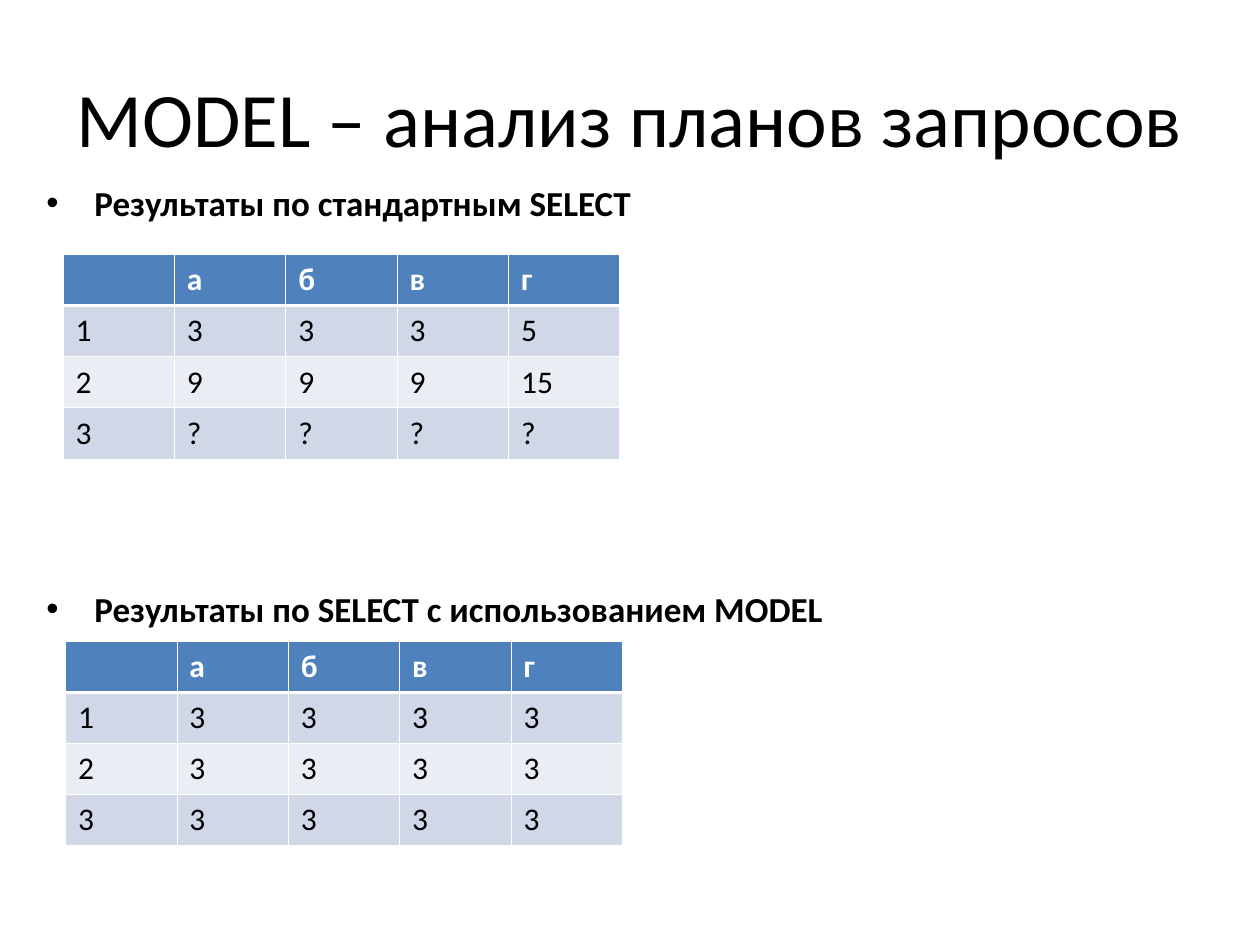
from lxml import etree
from pptx import Presentation
from pptx.dml.color import RGBColor
from pptx.enum import text
from pptx.oxml import ns
from pptx.util import Inches, Pt

COLORS = {
    "ink": "000000",
    "white": "FFFFFF",
    "header": "4F81BD",
    "band_dark": "D0D8E8",
    "band_light": "E9EDF4",
}
FONT = "Calibri"
THIN, THICK = Pt(0.45), Pt(1.47)


def write(paragraph, content, size=18, color="ink", bold=False, align=None, before=None):
    """Add formatted text to a paragraph."""
    run = paragraph.add_run()
    run.text = content
    run.font.name = FONT
    run.font.size = Pt(size)
    run.font.bold = bold
    run.font.color.rgb = RGBColor.from_string(COLORS[color])
    paragraph.alignment = align
    if before is not None:
        paragraph.space_before = Pt(before)


def add_bullet(paragraph, indent):
    properties = paragraph._p.get_or_add_pPr()
    properties.set("marL", str(indent))
    properties.set("indent", str(-indent))
    color = etree.SubElement(properties, ns.qn("a:buClr"))
    etree.SubElement(color, ns.qn("a:srgbClr"), val=COLORS["ink"])
    etree.SubElement(properties, ns.qn("a:buFont"), typeface="Arial")
    etree.SubElement(properties, ns.qn("a:buChar"), char="•")


def set_borders(cell, **widths):
    properties = cell._tc.get_or_add_tcPr()
    for side in "LRTB":
        line = etree.SubElement(properties, ns.qn(f"a:ln{side}"), w=str(widths.get(side, THIN)))
        fill = etree.SubElement(line, ns.qn("a:solidFill"))
        etree.SubElement(fill, ns.qn("a:srgbClr"), val=COLORS["white"])


def place_title(slide, box, content):
    title = slide.shapes.title
    title.left, title.top, title.width, title.height = box
    frame = title.text_frame
    frame.vertical_anchor = text.MSO_ANCHOR.MIDDLE
    write(frame.paragraphs[0], content, size=44, align=text.PP_ALIGN.CENTER)


def place_results(slide, box, rows):
    """Table with a header row and banded body rows."""
    table = slide.shapes.add_table(len(rows), len(rows[0]), *box).table
    for r, row in enumerate(rows):
        is_header = r == 0
        if is_header:
            fill, widths = "header", {"B": THICK}
        else:
            fill = "band_dark" if r % 2 else "band_light"
            widths = {"T": THICK} if r == 1 else {}
        for c, value in enumerate(row):
            cell = table.cell(r, c)
            set_borders(cell, **widths)
            cell.fill.solid()
            cell.fill.fore_color.rgb = RGBColor.from_string(COLORS[fill])
            if value:
                write(cell.text_frame.paragraphs[0], value,
                      color="white" if is_header else "ink", bold=is_header)


def place_headings(slide, box, headings):
    """Bulleted headings, each with its own space before."""
    frame = slide.shapes.add_textbox(*box).text_frame
    frame.word_wrap = True
    for i, (content, before) in enumerate(headings):
        paragraph = frame.add_paragraph() if i else frame.paragraphs[0]
        write(paragraph, content, size=20, bold=True, before=before)
        add_bullet(paragraph, Inches(0.38))


def main():
    presentation = Presentation()
    presentation.slide_width, presentation.slide_height = Inches(10), Inches(7.5)
    slide = presentation.slides.add_slide(presentation.slide_layouts[5])

    # Title
    place_title(slide, (Inches(0.5), Inches(0.3), Inches(9), Inches(1.25)),
                "MODEL – анализ планов запросов")

    # Result tables: MODEL below, standard SELECT above
    header = ["", "а", "б", "в", "г"]
    table_size = (Inches(4.42), Inches(1.62))
    place_results(slide, (Inches(0.52), Inches(5.09), *table_size),
                  [header] + [[number] + ["3"] * 4 for number in "123"])
    place_results(slide, (Inches(0.5), Inches(2.02), *table_size),
                  [header,
                   ["1", "3", "3", "3", "5"],
                   ["2", "9", "9", "9", "15"],
                   ["3", "?", "?", "?", "?"]])

    # Headings above the tables
    place_headings(slide, (Inches(0.27), Inches(1.39), Inches(9.14), Inches(5.81)),
                   [("Результаты по стандартным SELECT", 5),
                    ("Результаты по SELECT с использованием MODEL", 208)])

    presentation.save("out.pptx")


if __name__ == "__main__":
    main()
